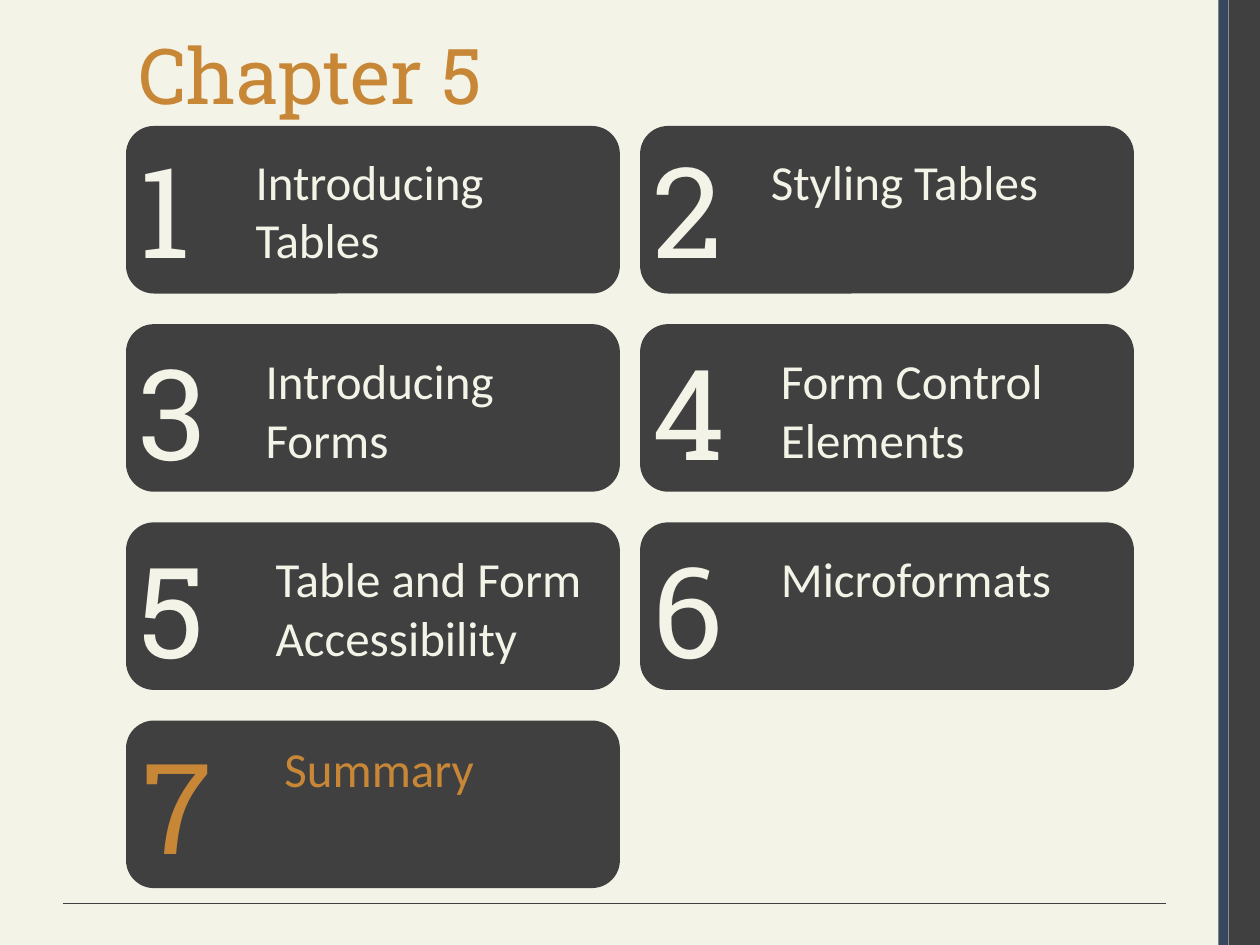
from lxml.etree import SubElement
from pptx import Presentation
from pptx.dml.color import RGBColor
from pptx.enum.shapes import MSO_CONNECTOR as Connector, MSO_SHAPE as Shape
from pptx.enum.text import MSO_ANCHOR as Anchor
from pptx.oxml.ns import qn
from pptx.util import Inches, Pt

CREAM = RGBColor(0xF3, 0xF3, 0xE7)
CHARCOAL = RGBColor(0x40, 0x40, 0x40)
NAVY = RGBColor(0x37, 0x47, 0x5F)
ORANGE = RGBColor(0xC8, 0x87, 0x36)

TITLE = {"name": "Roboto Slab", "size": Pt(44)}
NUMBER = {"name": "Roboto Slab", "size": Pt(72)}
LABEL = {"name": "Calibri", "size": Pt(28)}

CARD_WIDTH, CARD_HEIGHT = 3.92, 1.33
COLUMN_STEP, ROW_STEP = 4.08, 1.573

# Each topic: label, colour, number offset, label offset
TOPICS = [
    ("Introducing Tables", CREAM, (0, 0), (0.93, 0.15)),
    ("Styling Tables", CREAM, (0, 0), (0.94, 0.15)),
    ("Introducing Forms", CREAM, (0, 0.03), (1.01, 0.16)),
    ("Form Control Elements", CREAM, (0, 0.03), (1.02, 0.16)),
    ("Table and Form Accessibility", CREAM, (0, 0.03), (1.09, 0.16)),
    ("Microformats", CREAM, (0, 0.03), (1.02, 0.16)),
    ("Summary", ORANGE, (0.03, 0.01), (1.16, 0.09)),
]


def add_block(page, kind, left, top, width, height, color):
    """Add a plain filled shape."""
    block = page.shapes.add_shape(
        kind, Inches(left), Inches(top), Inches(width), Inches(height))
    block.shadow.inherit = False
    block.fill.solid()
    block.fill.fore_color.rgb = color
    block.line.fill.background()


def add_text(page, text, left, top, width, height, style, color):
    """Add a wrapped, top-anchored text box with one styled span."""
    box = page.shapes.add_textbox(
        Inches(left), Inches(top), Inches(width), Inches(height))
    box.text_frame.word_wrap = True
    box.text_frame.vertical_anchor = Anchor.TOP
    span = box.text_frame.paragraphs[0].add_run()
    span.text = text
    for name, value in style.items():
        setattr(span.font, name, value)
    span.font.color.rgb = color


def add_frame(page, width, height):
    """Draw the side bands and the footer rule."""
    add_block(page, Shape.RECTANGLE, width - 0.25, 0, 0.25, height, CHARCOAL)
    add_block(page, Shape.RECTANGLE, width - 0.33, 0, 0.08, height, NAVY)
    rule_top = Inches(height - 0.33)
    rule = page.shapes.add_connector(
        Connector.STRAIGHT, Inches(width - 0.75), rule_top, Inches(0.5), rule_top)
    rule.line.color.rgb = CHARCOAL
    rule.line.width = Pt(0.75)
    SubElement(rule._element.spPr, qn("a:effectLst"))


def add_card(page, left, top, number, topic):
    """Draw one numbered topic card."""
    label, color, (number_x, number_y), (label_x, label_y) = topic
    add_block(page, Shape.ROUNDED_RECTANGLE, left, top, CARD_WIDTH, CARD_HEIGHT, CHARCOAL)
    add_text(page, str(number), left + number_x, top + number_y, 0.75, 1.31, NUMBER, color)
    label_height = 1.04 if len(label) > 14 else 0.57
    add_text(page, label, left + label_x, top + label_y, 2.76, label_height, LABEL, color)


def add_cards(page, left, top):
    """Lay the topic cards out in two columns."""
    for index, topic in enumerate(TOPICS):
        row, column = divmod(index, 2)
        add_card(page, left + column * COLUMN_STEP, top + row * ROW_STEP, index + 1, topic)


def main():
    """Build the chapter overview deck."""
    deck = Presentation()
    deck.slide_width, deck.slide_height = Inches(10), Inches(7.5)
    page = deck.slides.add_slide(deck.slide_layouts[6])
    page.background.fill.solid()
    page.background.fill.fore_color.rgb = CREAM
    add_frame(page, 10, 7.5)
    add_text(page, "Chapter 5", 1, 0.17, 8.67, 1.17, TITLE, ORANGE)
    add_cards(page, 1, 1)
    deck.save("out.pptx")


if __name__ == "__main__":
    main()
